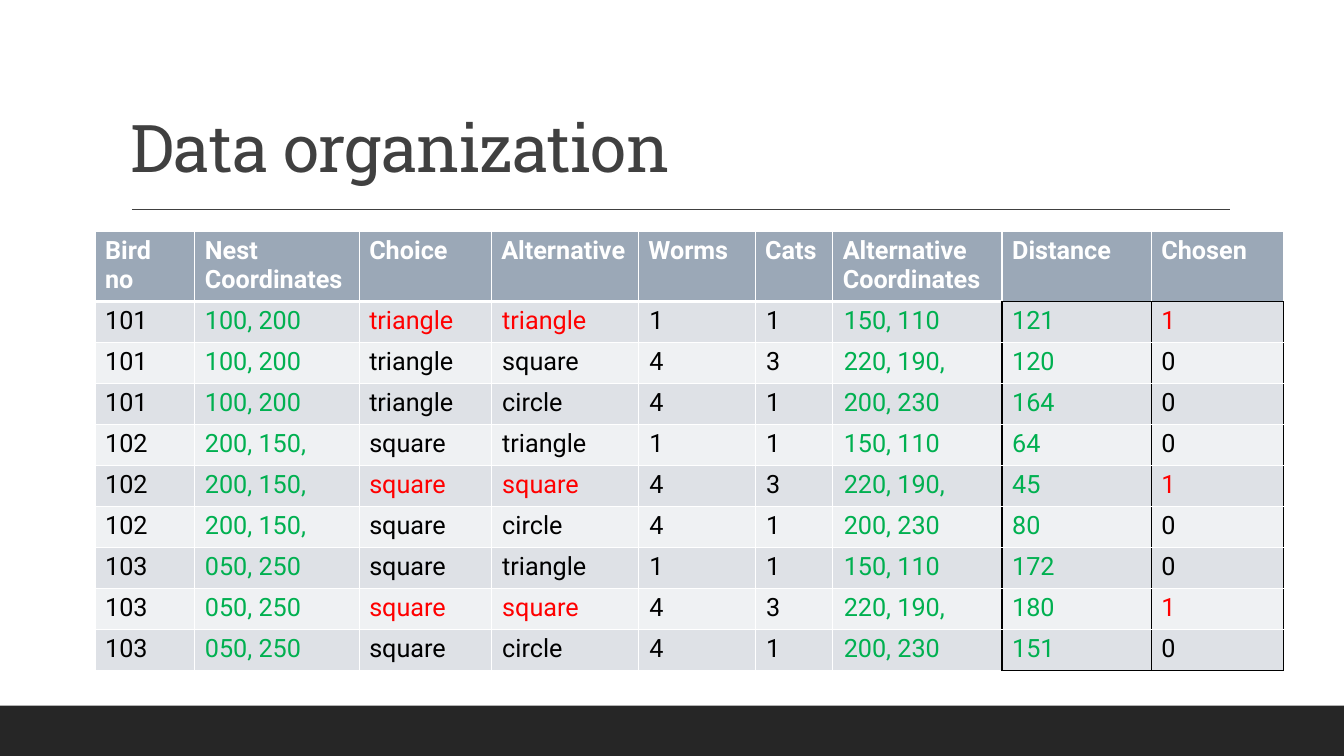
from dataclasses import dataclass

from lxml import etree
from pptx import Presentation
from pptx import util as u
from pptx.dml.color import RGBColor
from pptx.enum import shapes, text
from pptx.oxml import ns


@dataclass(frozen=True)
class Theme:
    heading_font: str = "Roboto Slab"
    body_font: str = "Roboto"
    title_size: float = 47
    table_size: float = 18
    title: str = "404040"
    footer: str = "262626"
    header: str = "9BA8B7"
    bands: tuple = ("DEE1E6", "EFF1F3")
    white: str = "FFFFFF"
    black: str = "000000"
    green: str = "00B050"
    red: str = "FF0000"


def rgb(value):
    return RGBColor.from_string(value)


class Deck:
    def __init__(self, theme):
        self.theme = theme
        self.prs = Presentation()
        self.prs.slide_width, self.prs.slide_height = u.Pt(960), u.Pt(540)
        self.s = self.prs.slides.add_slide(self.prs.slide_layouts[6])

    def bar(self, x, y, w, h, color):
        sp = self.s.shapes.add_shape(
            shapes.MSO_SHAPE.RECTANGLE, *map(u.Pt, (x, y, w, h)))
        sp.shadow.inherit = False
        sp.fill.solid()
        sp.fill.fore_color.rgb = rgb(color)
        sp.line.fill.background()

    def rule(self, x1, y1, x2, y2, color):
        line = self.s.shapes.add_connector(
            shapes.MSO_CONNECTOR.STRAIGHT, *map(u.Pt, (x1, y1, x2, y2)))
        line.line.color.rgb = rgb(color)
        line.line.width = u.Pt(1)
        etree.SubElement(line._element.spPr, ns.qn("a:effectLst"))

    def font(self, p, name, size, color, bold=False):
        p.font.name, p.font.size, p.font.bold = name, u.Pt(size), bold
        p.font.color.rgb = rgb(color)

    def title(self, x, y, w, h, words):
        tf = self.s.shapes.add_textbox(*map(u.Pt, (x, y, w, h))).text_frame
        tf.word_wrap = True
        tf.vertical_anchor = text.MSO_ANCHOR.BOTTOM
        p = tf.paragraphs[0]
        p.line_spacing = 0.9
        r = p.add_run()
        r.text = words
        r._r.get_or_add_rPr().set("spc", "-50")
        self.font(p, self.theme.heading_font, self.theme.title_size, self.theme.title)

    def table(self, x, y, widths, heights):
        frame = self.s.shapes.add_table(
            len(heights), len(widths), *map(u.Pt, (x, y, sum(widths), sum(heights))))
        tbl = frame.table
        tbl.first_row = tbl.horz_banding = False
        for col, width in zip(tbl.columns, widths):
            col.width = u.Pt(width)
        for row, height in zip(tbl.rows, heights):
            row.height = u.Pt(height)
        return tbl

    def cell(self, cell, words, color, fill, borders, bold=False, inset=7.2):
        cell.text = words
        cell.margin_left = cell.margin_right = u.Pt(inset)
        for p in cell.text_frame.paragraphs:
            self.font(p, self.theme.body_font, self.theme.table_size, color, bold)
        tcPr = cell._tc.get_or_add_tcPr()
        for side, (line_color, width) in zip("LRTB", borders):
            ln = etree.SubElement(tcPr, ns.qn(f"a:ln{side}"), w=str(u.Pt(width)))
            solid = etree.SubElement(ln, ns.qn("a:solidFill"))
            etree.SubElement(solid, ns.qn("a:srgbClr"), val=line_color)
        cell.fill.solid()
        cell.fill.fore_color.rgb = rgb(fill)


HEADERS = ["Bird no", "Nest Coordinates", "Choice", "Alternative", "Worms", "Cats",
           "Alternative\nCoordinates", "Distance", "Chosen"]
WIDTHS = [71.3, 117.4, 94.3, 105.1, 83.5, 55.4, 121, 106.6, 94.3]
BIRDS = [
    ("101", "100, 200", "triangle", (121, 120, 164)),
    ("102", "200, 150,", "square", (64, 45, 80)),
    ("103", "050, 250", "square", (172, 180, 151)),
]
ALTERNATIVES = [
    ("triangle", "1", "1", "150, 110"),
    ("square", "4", "3", "220, 190,"),
    ("circle", "4", "1", "200, 230"),
]
COORDINATE_COLUMNS = {1, 6, 7}
CHOICE_COLUMNS = {2, 3, 8}
RESULT_COLUMN = 7


def trial_rows():
    for bird, nest, choice, distances in BIRDS:
        for alternative, distance in zip(ALTERNATIVES, distances):
            chosen = alternative[0] == choice
            yield [bird, nest, choice, *alternative, str(distance), str(int(chosen))]


def add_trials(deck):
    theme = deck.theme
    white, black = (theme.white, 1), (theme.black, 1)
    rows = list(trial_rows())
    tbl = deck.table(67.9, 165, WIDTHS, [48.6] + [29.28] * len(rows))
    for c, header in enumerate(HEADERS):
        bottom = black if c >= RESULT_COLUMN else (theme.white, 3)
        deck.cell(tbl.cell(0, c), header, theme.white, theme.header,
                  (white, white, white, bottom), bold=True)
    for i, row in enumerate(rows):
        for c, words in enumerate(row):
            color = theme.black
            if c in COORDINATE_COLUMNS:
                color = theme.green
            elif c in CHOICE_COLUMNS and row[-1] == "1":
                color = theme.red
            result = c >= RESULT_COLUMN
            top = (theme.white, 3) if i == 0 else white
            borders = (
                black if result else white,
                black if c >= RESULT_COLUMN - 1 else white,
                black if result and i == 0 else top,
                black if result and i == len(rows) - 1 else white,
            )
            deck.cell(tbl.cell(i + 1, c), words, color, theme.bands[i % 2], borders,
                      inset=7.92 if 3 <= c <= 6 else 7.2)


def main():
    deck = Deck(Theme())
    deck.bar(0, 504, 960, 36, deck.theme.footer)
    deck.rule(94.3, 149.5, 878.8, 149.5, deck.theme.title)
    deck.title(86.4, 22.3, 792, 114.5, "Data organization")
    add_trials(deck)
    deck.prs.save("out.pptx")


if __name__ == "__main__":
    main()
